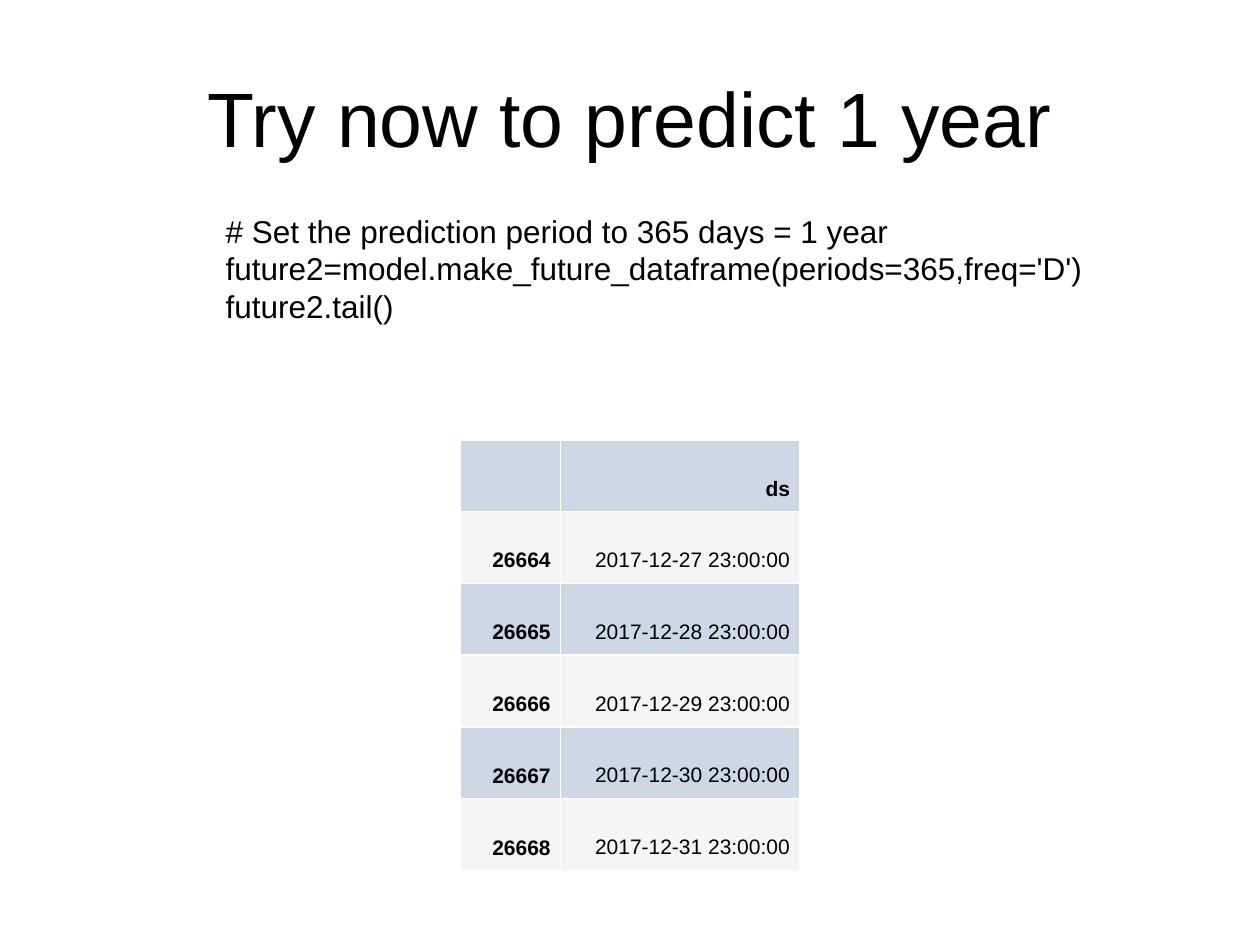
from lxml import etree
from pptx import Presentation
from pptx.dml.color import RGBColor
from pptx.enum.text import MSO_ANCHOR, MSO_AUTO_SIZE, PP_ALIGN
from pptx.oxml.ns import qn
from pptx.util import Inches, Pt

LEFT, CENTER, RIGHT = PP_ALIGN.LEFT, PP_ALIGN.CENTER, PP_ALIGN.RIGHT
TOP, MIDDLE = MSO_ANCHOR.TOP, MSO_ANCHOR.MIDDLE
FIT_SHAPE = MSO_AUTO_SIZE.SHAPE_TO_FIT_TEXT
FONT, BLACK, WHITE = "Arial", "000000", "FFFFFF"
BANDS = ["CFD7E7", "F5F5F5"]


def color(value):
    return RGBColor.from_string(value)


def write(frame, lines, size, align, inset, bold=False):
    frame.margin_left = frame.margin_right = Inches(inset)
    frame.margin_top = frame.margin_bottom = Inches(inset)
    for number, line in enumerate(lines):
        paragraph = frame.add_paragraph() if number else frame.paragraphs[0]
        paragraph.alignment = align
        run = paragraph.add_run()
        run.text = line
        run.font.name, run.font.size, run.font.bold = FONT, Pt(size), bold
        run.font.color.rgb = color(BLACK)


prs = Presentation()
prs.slide_width, prs.slide_height = Inches(10), Inches(7.5)
slide = prs.slides.add_slide(prs.slide_layouts[6])

# Title
title = slide.shapes.add_textbox(
    Inches(0.5), Inches(0.3), Inches(9), Inches(1.25)).text_frame
title.word_wrap = True
title.vertical_anchor = MIDDLE
write(title, ["Try now to predict 1 year"], 44, CENTER, 0.05)

# Code
code = slide.shapes.add_textbox(
    Inches(1.74), Inches(1.63), Inches(6.98), Inches(0.97)).text_frame
code.word_wrap = False
code.auto_size = FIT_SHAPE
write(code, [
    "# Set the prediction period to 365 days = 1 year",
    "future2=model.make_future_dataframe(periods=365,freq='D')",
    "future2.tail()",
], 18, LEFT, 0.05)

# Forecast dates: a header and the last five rows
forecast = [("", "ds")] + [
    (str(26664 + day), f"2017-12-{27 + day} 23:00:00") for day in range(5)]
column_widths, row_height = [0.8, 1.9], 0.57
table = slide.shapes.add_table(
    len(forecast), len(column_widths), Inches(3.65), Inches(3.49),
    Inches(sum(column_widths)), Inches(row_height * len(forecast))).table
for column, width in zip(table.columns, column_widths):
    column.width = Inches(width)

for r, entries in enumerate(forecast):
    table.rows[r].height = Inches(row_height)
    for c, entry in enumerate(entries):
        cell = table.cell(r, c)
        is_label = r == 0 or c == 0
        if entry:
            write(cell.text_frame, [entry], 12, RIGHT, 0.08, is_label)
            cell.text_frame.paragraphs[0].line_spacing = Pt(29 if is_label else 28)
            cell.margin_left = cell.margin_right = Inches(0.08)
            cell.margin_top = cell.margin_bottom = Inches(0.08)
        cell.vertical_anchor = MIDDLE if c else TOP

        # White borders come before the fill in the cell properties
        properties = cell._tc.get_or_add_tcPr()
        for side in ("a:lnL", "a:lnR", "a:lnT", "a:lnB"):
            border = etree.SubElement(properties, qn(side), w=str(Pt(1)))
            paint = etree.SubElement(border, qn("a:solidFill"))
            etree.SubElement(paint, qn("a:srgbClr"), val=WHITE)
        cell.fill.solid()
        cell.fill.fore_color.rgb = color(BANDS[r % 2])

prs.save("out.pptx")
